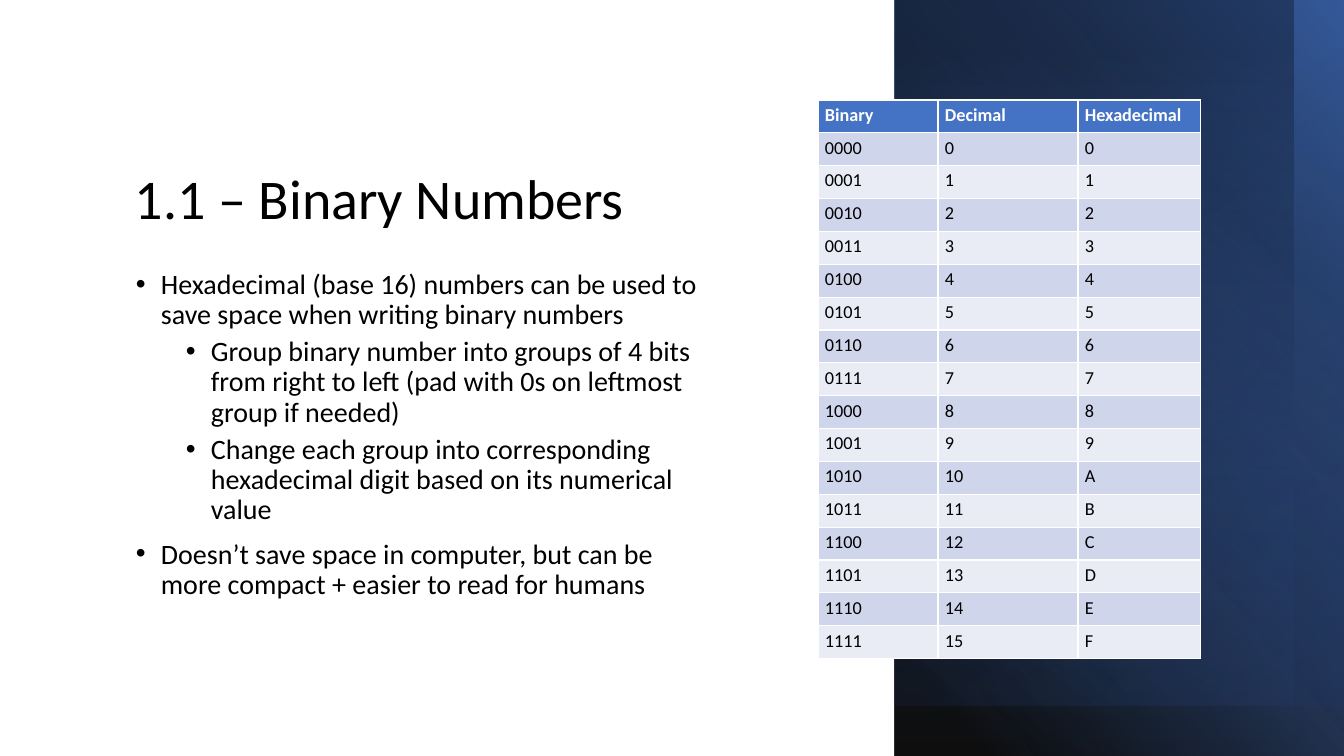
from lxml.etree import SubElement
from pptx import Presentation
from pptx.dml.color import RGBColor
from pptx.enum.shapes import MSO_SHAPE
from pptx.enum.text import MSO_ANCHOR
from pptx.oxml.ns import qn
from pptx.util import Emu, Pt

FONT = "Calibri"
BLACK = RGBColor(0x00, 0x00, 0x00)
WHITE = RGBColor(0xFF, 0xFF, 0xFF)
BLUE = RGBColor(0x44, 0x72, 0xC4)
NAVY = RGBColor(0x20, 0x38, 0x64)
BANDS = (RGBColor(0xCF, 0xD5, 0xEA), RGBColor(0xE9, 0xEB, 0xF5))

TITLE = "1.1 – Binary Numbers"
# (level, text)
POINTS = [
    (0, "Hexadecimal (base 16) numbers can be used to save space when writing binary numbers"),
    (1, "Group binary number into groups of 4 bits from right to left "
        "(pad with 0s on leftmost group if needed)"),
    (1, "Change each group into corresponding hexadecimal digit based on its numerical value"),
    (0, "Doesn’t save space in computer, but can be more compact + easier to read for humans"),
]
HEADINGS = ("Binary", "Decimal", "Hexadecimal")
NUMBERS = [(f"{n:04b}", f"{n}", f"{n:X}") for n in range(16)]

SLIDE_SIZE = (1344, 756)
TITLE_BOX = (125, 55, 587, 182)
POINTS_BOX = (126, 265, 586, 390)
PANEL_LEFT = 895
# (width, height, angle, stops of (position %, colour, opacity %))
PANEL_LAYERS = [
    (452, 756, 40, [(8, BLACK, 94), (100, BLUE, 100)]),
    (452, 706, 300, [(31, NAVY, 0), (100, NAVY, 26)]),
    (449, 706, 50, [(0, BLUE, 0), (72, BLACK, 21)]),
    (398, 756, 90, [(0, BLUE, 0), (93, BLACK, 29)]),
]
TABLE_LEFT, TABLE_TOP, TABLE_HEIGHT = 818, 100, 559
COLUMN_WIDTHS = (120, 140, 123)
CELL_INSETS = (7, 4)
INDENT, LEVEL_STEP = 25, 50


def px(length):
    return Emu(round(length * 12192000 / SLIDE_SIZE[0]))


def style_font(paragraph, size, color, bold=False):
    font = paragraph.font
    font.name, font.size, font.bold = FONT, Pt(size), bold
    font.color.rgb = color


def add_text_frame(slide, box):
    frame = slide.shapes.add_textbox(*map(px, box)).text_frame
    frame.word_wrap = True
    return frame


def add_title(slide):
    frame = add_text_frame(slide, TITLE_BOX)
    frame.vertical_anchor = MSO_ANCHOR.BOTTOM
    heading = frame.paragraphs[0]
    heading.text = TITLE
    heading.line_spacing = 0.9
    style_font(heading, 40, BLACK)


def add_points(slide):
    frame = add_text_frame(slide, POINTS_BOX)
    for index, (level, text) in enumerate(POINTS):
        point = frame.add_paragraph() if index else frame.paragraphs[0]
        point.text = text
        point.level = level
        point.line_spacing = 0.9
        point.space_before = Pt(5 if level else 10)
        properties = point._p.get_or_add_pPr()
        properties.set("marL", str(px(INDENT + level * LEVEL_STEP)))
        properties.set("indent", str(-px(INDENT)))
        SubElement(properties, qn("a:buFont"), typeface="Arial")
        SubElement(properties, qn("a:buChar"), char="•")
        style_font(point, 20, BLACK)


def fill_gradient(shape, angle, stops):
    """Fill with a linear gradient; the angle is clockwise, in degrees."""
    shape.fill.gradient()
    gradient = shape.fill._xPr.find(qn("a:gradFill"))
    for child in list(gradient):
        gradient.remove(child)
    stop_list = SubElement(gradient, qn("a:gsLst"))
    for position, color, opacity in stops:
        stop = SubElement(stop_list, qn("a:gs"), pos=str(position * 1000))
        stop_color = SubElement(stop, qn("a:srgbClr"), val=str(color))
        SubElement(stop_color, qn("a:alpha"), val=str(opacity * 1000))
    SubElement(gradient, qn("a:lin"), ang=str(angle * 60000), scaled="0")


def add_panel(slide):
    for width, height, angle, stops in PANEL_LAYERS:
        layer = slide.shapes.add_shape(
            MSO_SHAPE.RECTANGLE, px(PANEL_LEFT), 0, px(width), px(height))
        layer.shadow.inherit = False
        layer.line.fill.background()
        layer.rotation = 180
        layer._element.spPr.xfrm.set("flipH", "1")
        fill_gradient(layer, angle, stops)


def add_number_table(slide):
    rows = [HEADINGS] + NUMBERS
    table = slide.shapes.add_table(
        len(rows), len(HEADINGS), px(TABLE_LEFT), px(TABLE_TOP),
        px(sum(COLUMN_WIDTHS)), px(TABLE_HEIGHT)).table
    for column, width in zip(table.columns, COLUMN_WIDTHS):
        column.width = px(width)
    side, edge = map(px, CELL_INSETS)
    for row_index, values in enumerate(rows):
        is_heading = row_index == 0
        for column_index, value in enumerate(values):
            cell = table.cell(row_index, column_index)
            cell.text = value
            cell.margin_left = cell.margin_right = side
            cell.margin_top = cell.margin_bottom = edge
            cell.fill.solid()
            cell.fill.fore_color.rgb = BLUE if is_heading else BANDS[(row_index - 1) % 2]
            style_font(cell.text_frame.paragraphs[0], 13,
                       WHITE if is_heading else BLACK, is_heading)


def main():
    presentation = Presentation()
    presentation.slide_width, presentation.slide_height = map(px, SLIDE_SIZE)
    slide = presentation.slides.add_slide(presentation.slide_layouts[6])
    add_title(slide)
    add_points(slide)
    add_panel(slide)
    add_number_table(slide)
    presentation.save("out.pptx")


if __name__ == "__main__":
    main()
